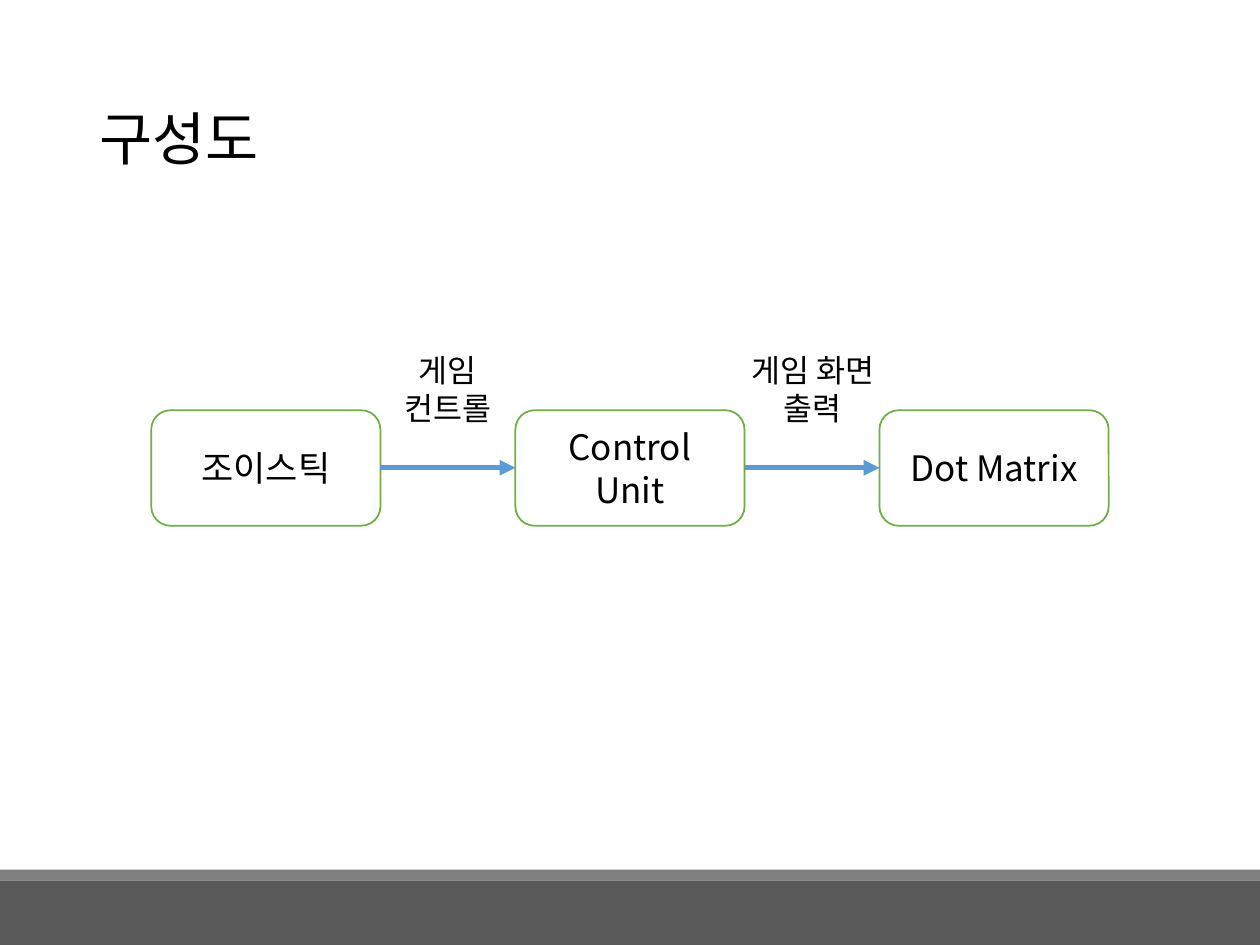
import pptx
import pptx.util
import pptx.dml.color
import pptx.enum.shapes
import pptx.enum.text
import pptx.oxml
import pptx.oxml.ns
import pptx.oxml.xmlchemy

Cm = pptx.util.Cm
Pt = pptx.util.Pt
RGBColor = pptx.dml.color.RGBColor
Align = pptx.enum.text.PP_ALIGN
Anchor = pptx.enum.text.MSO_ANCHOR
Shapes = pptx.enum.shapes.MSO_SHAPE

FONT = "Noto Sans CJK KR"
BLACK = RGBColor(0, 0, 0)
WHITE = RGBColor(255, 255, 255)
GREEN = RGBColor(0x70, 0xAD, 0x47)
BLUE = RGBColor(0x5B, 0x9B, 0xD5)
DARK_GRAY = RGBColor(0x59, 0x59, 0x59)
GRAY = RGBColor(0x80, 0x80, 0x80)

NODES = ["조이스틱", "Control\vUnit", "Dot Matrix"]
FLOWS = [("게임\v컨트롤", 9.03), ("게임 화면\v출력", 16.38)]  # text, centre
NODE_LEFT, NODE_TOP = 3.05, 8.27
NODE_WIDTH, NODE_HEIGHT = 4.62, 2.33
NODE_STEP = 7.34
ARROW_Y = 9.43


def add_child(parent, tag, **attributes):
    """Append a DrawingML element with the given attributes."""
    child = pptx.oxml.xmlchemy.OxmlElement(tag)
    for name, value in attributes.items():
        child.set(name, value)
    parent.append(child)


def write_text(shape, text, size=18, align=Align.CENTER, anchor=Anchor.MIDDLE,
               wrap=True, spacing=None):
    """Write one formatted paragraph; a vertical tab breaks the line."""
    frame = shape.text_frame
    frame.word_wrap = wrap
    frame.vertical_anchor = anchor
    paragraph = frame.paragraphs[0]
    paragraph.text = text
    paragraph.alignment = align
    paragraph.line_spacing = spacing
    for run in paragraph.runs:
        run.font.size = Pt(size)
        run.font.color.rgb = BLACK
        run.font.name = FONT
        add_child(run.font._element, "a:ea", typeface=FONT)


def add_box(slide, kind, left, top, width, height, fill, line=None):
    """Add a flat preset shape with an optional outline."""
    shape = slide.shapes.add_shape(kind, Cm(left), Cm(top), Cm(width), Cm(height))
    shape.shadow.inherit = False
    shape.fill.solid()
    shape.fill.fore_color.rgb = fill
    if line is None:
        shape.line.fill.background()
    else:
        shape.line.color.rgb = line
        shape.line.width = Pt(1)
    return shape


def add_arrow(slide, start, end):
    """Connect two nodes from right side to left side with an arrow."""
    arrow = slide.shapes.add_connector(
        pptx.enum.shapes.MSO_CONNECTOR.STRAIGHT,
        start.left + start.width, Cm(ARROW_Y), end.left, Cm(ARROW_Y))
    arrow.line.color.rgb = BLUE
    arrow.line.width = Pt(3)
    add_child(arrow.line._get_or_add_ln(), "a:tailEnd", type="triangle")
    add_child(arrow._element.spPr, "a:effectLst")


def add_label(slide, text, centre):
    """Add a flow caption centred above its arrow."""
    width = 3.66
    label = slide.shapes.add_textbox(
        Cm(centre - width / 2), Cm(6.96), Cm(width), Cm(2.46))
    write_text(label, text, anchor=Anchor.TOP, wrap=False)


def main():
    """Build the block diagram slide."""
    presentation = pptx.Presentation()
    presentation.slide_width = Cm(25.4)
    presentation.slide_height = Cm(19.05)
    slide = presentation.slides.add_slide(presentation.slide_layouts[5])

    add_box(slide, Shapes.RECTANGLE, 0, 17.75, 25.4, 1.3, DARK_GRAY)
    add_box(slide, Shapes.RECTANGLE, 0, 17.53, 25.4, 0.22, GRAY)

    title = slide.shapes.title
    title.left, title.top = Cm(1.75), Cm(1.02)
    title.width, title.height = Cm(21.9), Cm(3.68)
    write_text(title, "구성도", size=33, align=Align.LEFT, spacing=0.9)

    nodes = []
    for index, text in enumerate(NODES):
        node = add_box(slide, Shapes.ROUNDED_RECTANGLE,
                       NODE_LEFT + index * NODE_STEP, NODE_TOP,
                       NODE_WIDTH, NODE_HEIGHT, WHITE, GREEN)
        write_text(node, text, size=20)
        nodes.append(node)
    for start, end in zip(nodes, nodes[1:]):
        add_arrow(slide, start, end)
    for text, centre in FLOWS:
        add_label(slide, text, centre)

    presentation.save("out.pptx")


main()
